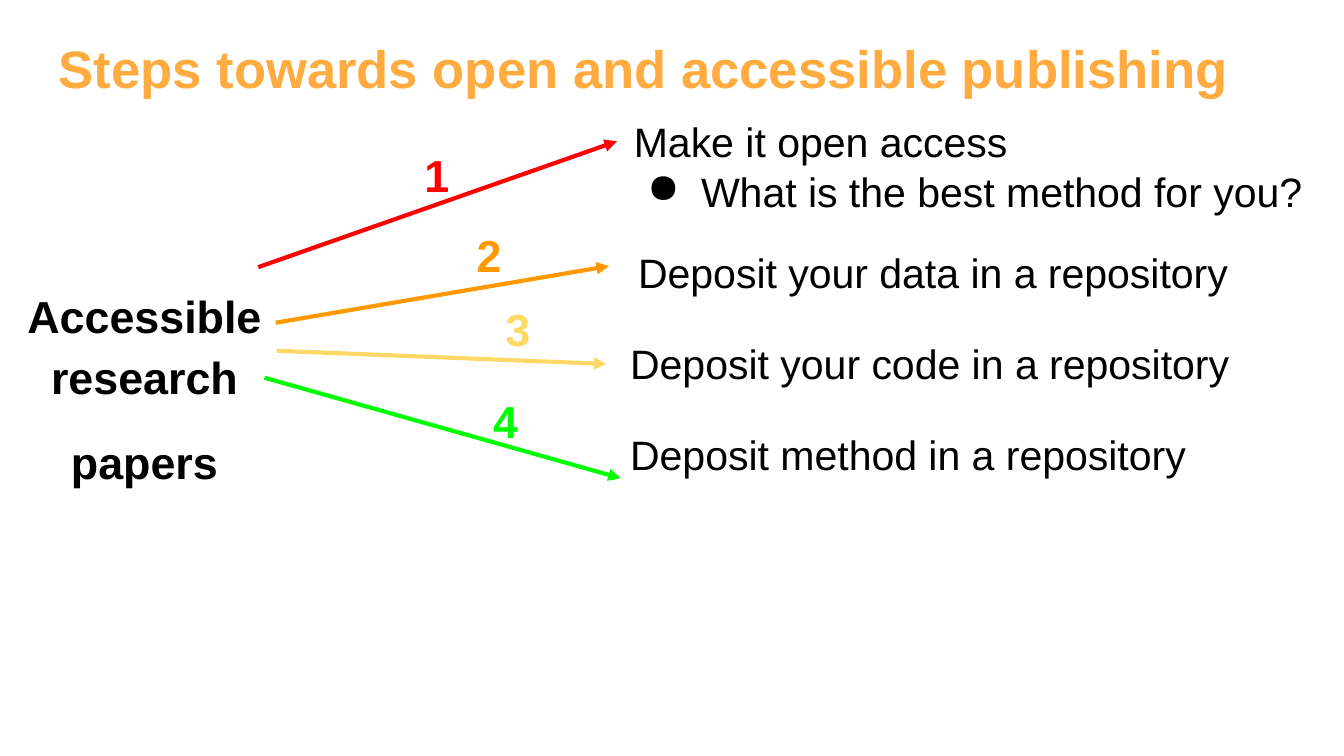
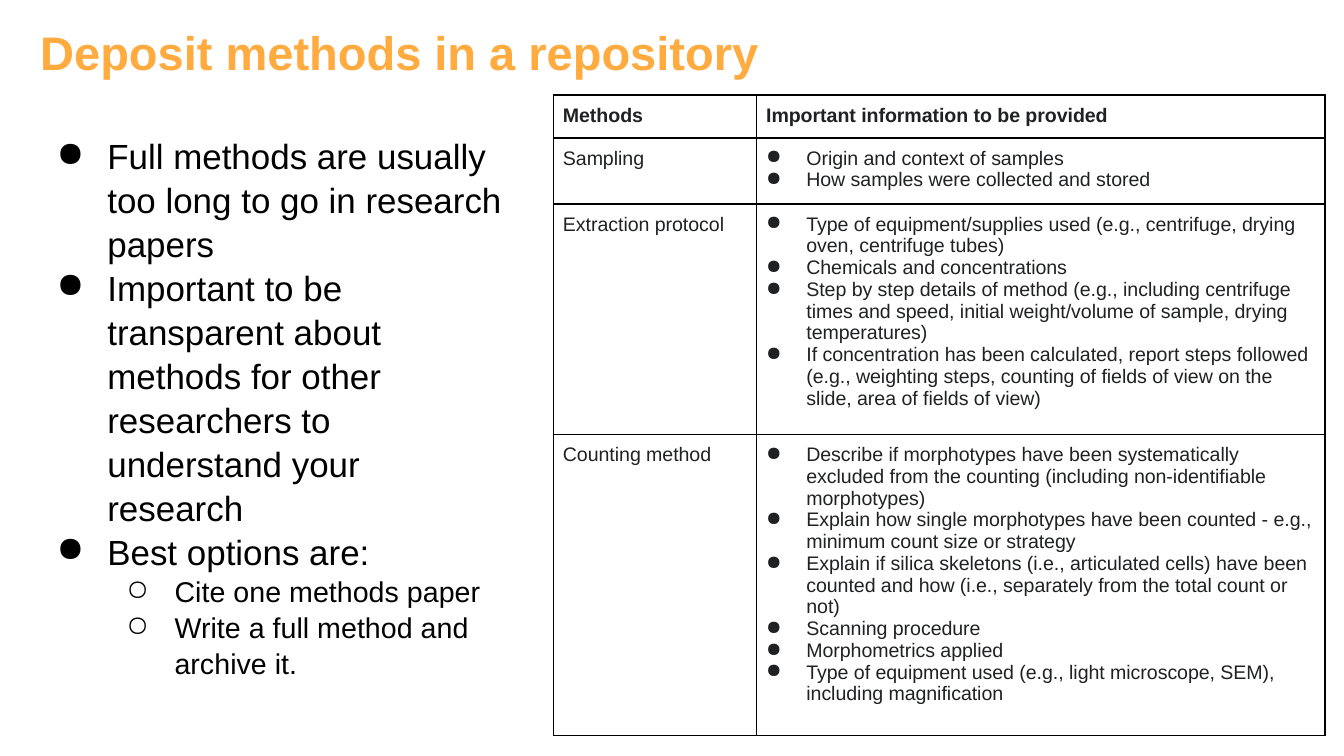
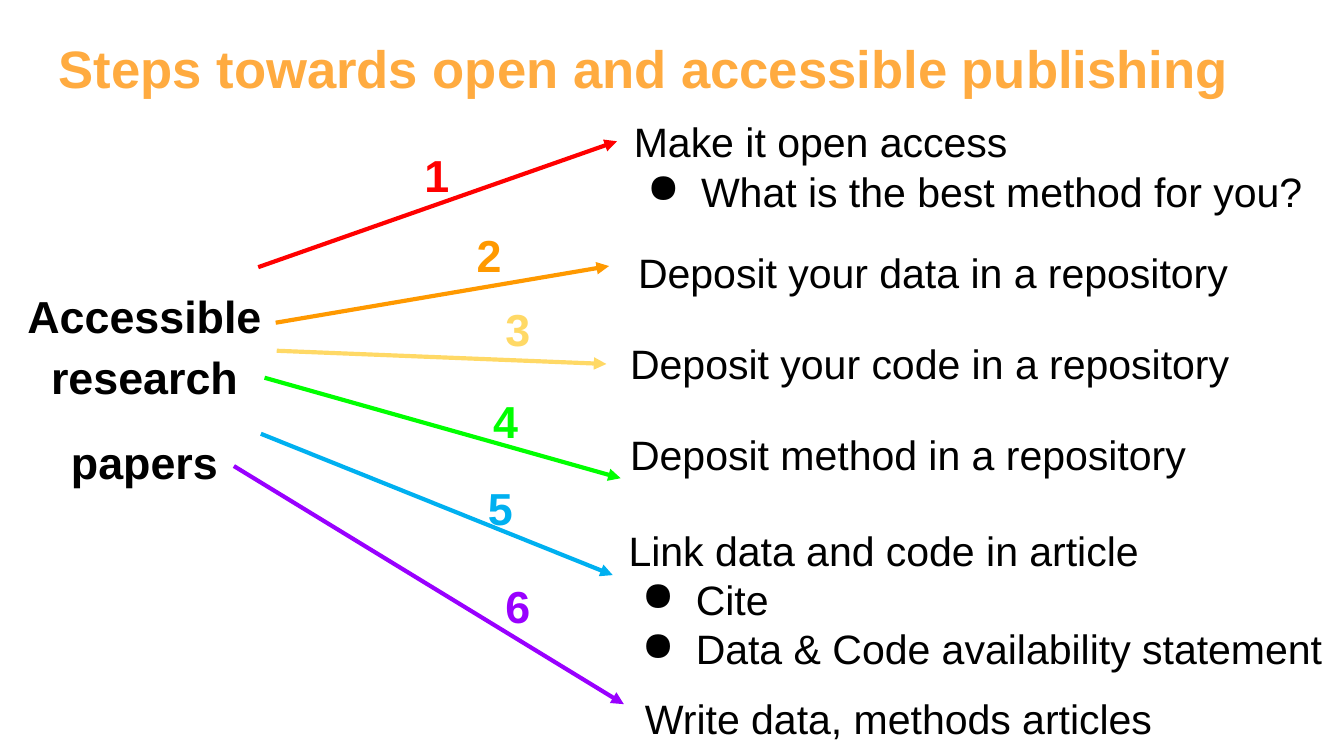
from lxml import etree
from pptx import Presentation
from pptx.dml.color import RGBColor
from pptx.enum.shapes import MSO_CONNECTOR
from pptx.enum.text import MSO_AUTO_SIZE, PP_ALIGN
from pptx.oxml.ns import qn
from pptx.util import Cm, Pt

LINE = MSO_CONNECTOR.STRAIGHT
GROW = MSO_AUTO_SIZE.SHAPE_TO_FIT_TEXT
MID = PP_ALIGN.CENTER
FONT = "Arial"
GOLD, BLACK, WHITE, GREY = "FFAB40", "000000", "FFFFFF", "202122"
DOT, RING = "●", "○"
PAD = 0.25

STEPS = [
    ("FF0000", (4.63, 3.09), (11.41, 0.71), (7.52, 0.58), (11.48, 0, 13.54),
     ["Make it open access", "What is the best method for you?"]),
    ("FF9900", (4.96, 4.14), (11.26, 3.07), (8.51, 2.1), (11.56, 2.46, 12.98),
     ["Deposit your data in a repository"]),
    ("FFD966", (4.98, 4.67), (11.21, 4.92), (9.05, 3.5), (11.41, 4.19, 12.98),
     ["Deposit your code in a repository"]),
    ("00FF00", (4.75, 5.18), (11.48, 7.08), (8.82, 5.23), (11.41, 5.91, 13.26),
     ["Deposit method in a repository"]),
    ("00B0F0", (4.68, 6.24), (11.33, 8.91), (8.72, 6.88), (11.38, 7.72, 13.74),
     ["Link data and code in article", "Cite", "Data & Code availability statement"]),
    ("9900FF", (4.17, 6.85), (11.54, 11.35), (9.05, 8.73), (11.69, 10.89, 10.52),
     ["Write data, methods articles"]),
]

POINTS = [
    "Full methods are usually too long to go in research papers",
    "Important to be transparent about methods for other researchers to understand your research",
    "Best options are:",
]
OPTIONS = ["Cite one methods paper", "Write a full method and archive it."]

ROWS = [
    ("Sampling", 1.17, [
        "Origin and context of samples",
        "How samples were collected and stored",
    ]),
    ("Extraction protocol", 4.05, [
        "Type of equipment/supplies used (e.g., centrifuge, drying oven, centrifuge tubes)",
        "Chemicals and concentrations",
        "Step by step details of method (e.g., including centrifuge times and speed, "
        "initial weight/volume of sample, drying temperatures)",
        "If concentration has been calculated, report steps followed (e.g., weighting steps, "
        "counting of fields of view on the slide, area of fields of view)",
    ]),
    ("Counting method", 5.28, [
        "Describe if morphotypes have been systematically excluded from the counting "
        "(including non-identifiable morphotypes)",
        "Explain how single morphotypes have been counted - e.g., minimum count size or strategy",
        "Explain if silica skeletons (i.e., articulated cells) have been counted and how "
        "(i.e., separately from the total count or not)",
        "Scanning procedure",
        "Morphometrics applied",
        "Type of equipment used (e.g., light microscope, SEM), including magnification",
    ]),
]


def rgb(code):
    return RGBColor.from_string(code)


def style(para, size, color, bold=False):
    for run in para.runs:
        font = run.font
        font.name, font.size, font.bold = FONT, Pt(size), bold
        font.color.rgb = rgb(color)


def mark(para, sign, left, hang, color=BLACK):
    props = para._p.get_or_add_pPr()
    props.set("marL", str(Cm(left)))
    props.set("indent", str(-Cm(hang)))
    tint = etree.SubElement(props, qn("a:buClr"))
    etree.SubElement(tint, qn("a:srgbClr"), val=color)
    etree.SubElement(props, qn("a:buChar"), char=sign)


def write(frame, lines, size, color, bold=False):
    frame.text = "\n".join(lines)
    for para in frame.paragraphs:
        style(para, size, color, bold)
    return frame.paragraphs


def textbox(slide, box, grow=False):
    frame = slide.shapes.add_textbox(*map(Cm, box)).text_frame
    frame.word_wrap = True
    frame.margin_left = frame.margin_right = Cm(PAD)
    frame.margin_top = frame.margin_bottom = Cm(PAD)
    if grow:
        frame.auto_size = GROW
    return frame


def start(deck):
    slide = deck.slides.add_slide(deck.slide_layouts[6])
    slide.background.fill.solid()
    slide.background.fill.fore_color.rgb = rgb(WHITE)
    return slide


def title(slide, left, top, text, size):
    write(textbox(slide, (left, top, 23.67, 1.6)), [text], size, GOLD, True)


def arrow(slide, tail, head, color):
    link = slide.shapes.add_connector(LINE, *map(Cm, tail + head))
    link.line.color.rgb = rgb(color)
    link.line.width = Pt(2.25)
    props = link.element.spPr
    etree.SubElement(props.find(qn("a:ln")), qn("a:tailEnd"), type="triangle")
    etree.SubElement(props, qn("a:effectLst"))


def step(slide, left, top, count, item):
    color, tail, head, spot, place, lines = item

    def shift(point):
        return left + point[0], top + point[1]

    arrow(slide, shift(tail), shift(head), color)
    frame = textbox(slide, (*shift(spot), 1.7, 1.55), True)
    write(frame, [str(count)], 24, color, True)
    high = 0.51 + 0.94 * len(lines)
    frame = textbox(slide, (*shift(place), place[2], high), True)
    for para in write(frame, lines, 22, BLACK)[1:]:
        mark(para, DOT, 1.27, 1.02)


def flow(slide, left, top, items):
    frame = textbox(slide, (left, top + 3.09, 4.96, 4.67))
    paras = write(frame, ["Accessible research", "papers"], 24, BLACK, True)
    for para in paras:
        para.alignment = MID
        para.line_spacing = 1.15
    paras[1].space_before = Pt(12)
    for count, item in enumerate(items, 1):
        step(slide, left, top, count, item)


def notes(slide, box):
    paras = write(textbox(slide, box), POINTS + OPTIONS, 18.7, BLACK)
    for rank, para in enumerate(paras):
        para.line_spacing = 1.05
        if rank < len(POINTS):
            mark(para, DOT, 1.27, 0.96)
        else:
            para.level = 1
            mark(para, RING, 2.54, 0.91)
            style(para, 15.3, BLACK)


def edge(cell):
    props = cell._tc.get_or_add_tcPr()
    for side in ("lnL", "lnR", "lnT", "lnB"):
        line = etree.SubElement(props, qn("a:" + side), w=str(Pt(1)))
        fill = etree.SubElement(line, qn("a:solidFill"))
        etree.SubElement(fill, qn("a:srgbClr"), val=BLACK)


def put(cell, lines, bold=False, dots=False):
    cell.margin_left = cell.margin_right = Cm(0.18)
    cell.margin_top = cell.margin_bottom = Cm(0.18)
    edge(cell)
    cell.fill.background()
    for para in write(cell.text_frame, lines, 10.5, GREY, bold):
        if dots:
            mark(para, DOT, 0.76, 0.81, GREY)


def grid(slide, left, top, widths):
    highs = [0.75] + [row[1] for row in ROWS]
    size = (left, top, sum(widths), sum(highs))
    table = slide.shapes.add_table(len(highs), 2, *map(Cm, size)).table
    table.first_row = table.horz_banding = False
    for col, width in zip(table.columns, widths):
        col.width = Cm(width)
    for row, high in zip(table.rows, highs):
        row.height = Cm(high)
    for col, head in enumerate(("Methods", "Important information to be provided")):
        put(table.cell(0, col), [head], bold=True)
    for rank, (name, _, facts) in enumerate(ROWS, 1):
        put(table.cell(rank, 0), [name])
        put(table.cell(rank, 1), facts, dots=True)


def steps(deck, items):
    slide = start(deck)
    title(slide, 0.86, 0.43, "Steps towards open and accessible publishing", 28.2)
    flow(slide, 0.25, 1.96, items)


def methods(deck):
    slide = start(deck)
    title(slide, 0.51, 0.2, "Deposit methods in a repository", 25.2)
    notes(slide, (0.51, 2.26, 9.26, 11.2))
    grid(slide, 10.46, 1.8, (3.84, 10.74))


def main():
    deck = Presentation()
    deck.slide_width, deck.slide_height = Cm(25.4), Cm(14.29)
    steps(deck, STEPS[:4])
    methods(deck)
    steps(deck, STEPS)
    deck.save("out.pptx")


if __name__ == "__main__":
    main()
